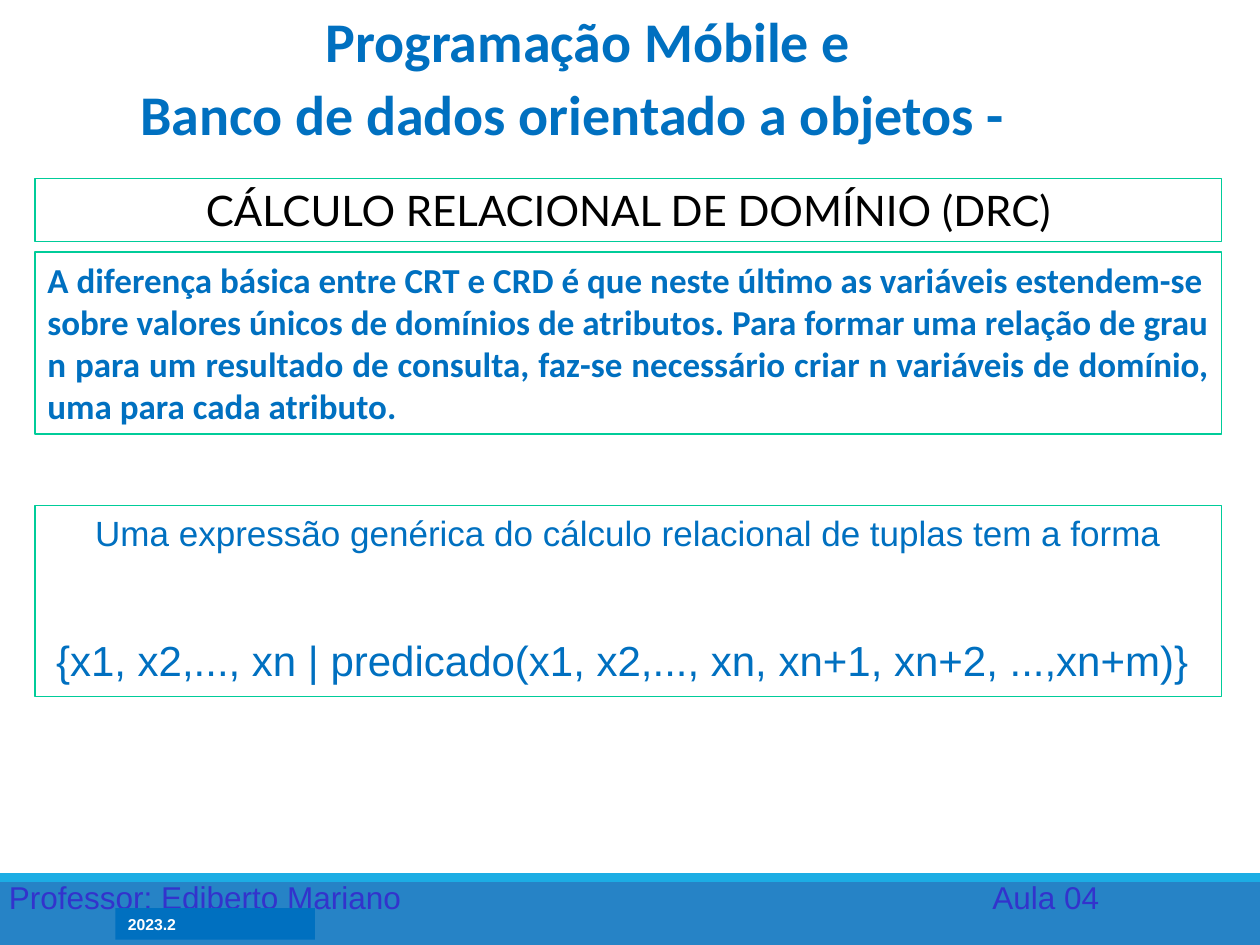
from pptx import Presentation
from pptx.dml.color import RGBColor
from pptx.enum.shapes import MSO_SHAPE
from pptx.enum.text import MSO_ANCHOR, PP_ALIGN
from pptx.util import Pt

HUES = {"blue": "0070C0", "band": "2683C6", "edge": "1CADE4", "teal": "00CC99",
        "ink": "000000", "navy": "3333CC", "white": "FFFFFF"}


def hue(name):
    """Return the named colour."""
    return RGBColor.from_string(HUES[name])


def write(shape, lines, font, color, bold=False, align=PP_ALIGN.LEFT, wrap=True):
    """Fill a shape with lines of (text, size, space before)."""
    frame = shape.text_frame
    frame.word_wrap = wrap
    frame.vertical_anchor = MSO_ANCHOR.TOP
    frame.margin_left = frame.margin_right = Pt(7.2)
    frame.margin_top = frame.margin_bottom = Pt(3.6)
    for num, (text, size, gap) in enumerate(lines):
        para = frame.add_paragraph() if num else frame.paragraphs[0]
        para.text = text
        para.alignment = align
        para.space_before = Pt(gap)
        para.font.name = font
        para.font.size = Pt(size)
        para.font.bold = bold
        para.font.color.rgb = hue(color)


def label(slide, box, *args, **style):
    """Add a text box."""
    write(slide.shapes.add_textbox(*map(Pt, box)), *args, **style)


def block(slide, box, fill=None, line=None):
    """Add a rectangle with an optional fill and outline."""
    shape = slide.shapes.add_shape(MSO_SHAPE.RECTANGLE, *map(Pt, box))
    shape.shadow.inherit = False
    if fill:
        shape.fill.solid()
        shape.fill.fore_color.rgb = hue(fill)
    else:
        shape.fill.background()
    if line:
        shape.line.color.rgb = hue(line)
        shape.line.width = Pt(0.75)
    else:
        shape.line.fill.background()
    return shape


def footer(slide, box):
    """Draw the band with teacher, lesson and term."""
    left, top, width, height = box
    block(slide, box, "band")
    block(slide, (left, top, width, 5), "edge")
    for text, x, wide in (("Professor: Ediberto Mariano", -2, 300), ("Aula 04", 560, 100)):
        label(slide, (left + x, top - 1, wide, 29), [(text, 18, 0)], "Arial", "navy")
    term = block(slide, (left + 66, top + 20, 114, 18), "blue")
    write(term, [("2023.2", 9, 0)], "Arial", "white", bold=True)


def header(slide, box):
    """Place the title and the line below it."""
    left, top, width, height = box
    title = slide.shapes.title
    title.left, title.top, title.width, title.height = map(Pt, (left + 101, top, 410, 46))
    style = {"bold": True, "align": PP_ALIGN.CENTER}
    write(title, [("Programação Móbile e", 32, 0)], "Calibri", "blue", **style)
    label(slide, (left, top + 42, width, 46),
          [("Banco de dados orientado a objetos -", 32, 0)], "Calibri", "blue", **style)


def body(slide, box):
    """Stack the three outlined panels."""
    left, top, width, height = box
    panels = (
        (0, 36, [("CÁLCULO RELACIONAL DE DOMÍNIO (DRC)", 24, 0)],
         "Lato", "ink", False, PP_ALIGN.CENTER),
        (42, 104, [
            ("A diferença básica entre CRT e CRD é que neste último as variáveis estendem-se", 20, 0),
            ("sobre valores únicos de domínios de atributos. Para formar uma relação de grau n "
             "para um resultado de consulta, faz-se necessário criar n variáveis de domínio, "
             "uma para cada atributo.", 20, 0)],
         "Calibri", "blue", True, PP_ALIGN.JUSTIFY),
        (187, 109, [
            ("Uma expressão genérica do cálculo relacional de tuplas tem a forma", 20, 0),
            ("{x1, x2,..., xn | predicado(x1, x2,..., xn, xn+1, xn+2, ...,xn+m)} ", 24, 46)],
         "Arial", "blue", False, PP_ALIGN.CENTER),
    )
    for drop, tall, lines, font, color, bold, align in panels:
        panel = block(slide, (left, top + drop, width, tall), line="teal")
        write(panel, lines, font, color, bold, align)


deck = Presentation()
deck.slide_width, deck.slide_height = Pt(720), Pt(540)
page = deck.slides.add_slide(deck.slide_layouts[5])
footer(page, (0, 499, 720, 41))
header(page, (30, 0, 594, 88))
body(page, (20, 102, 678, 296))
deck.save("out.pptx")
